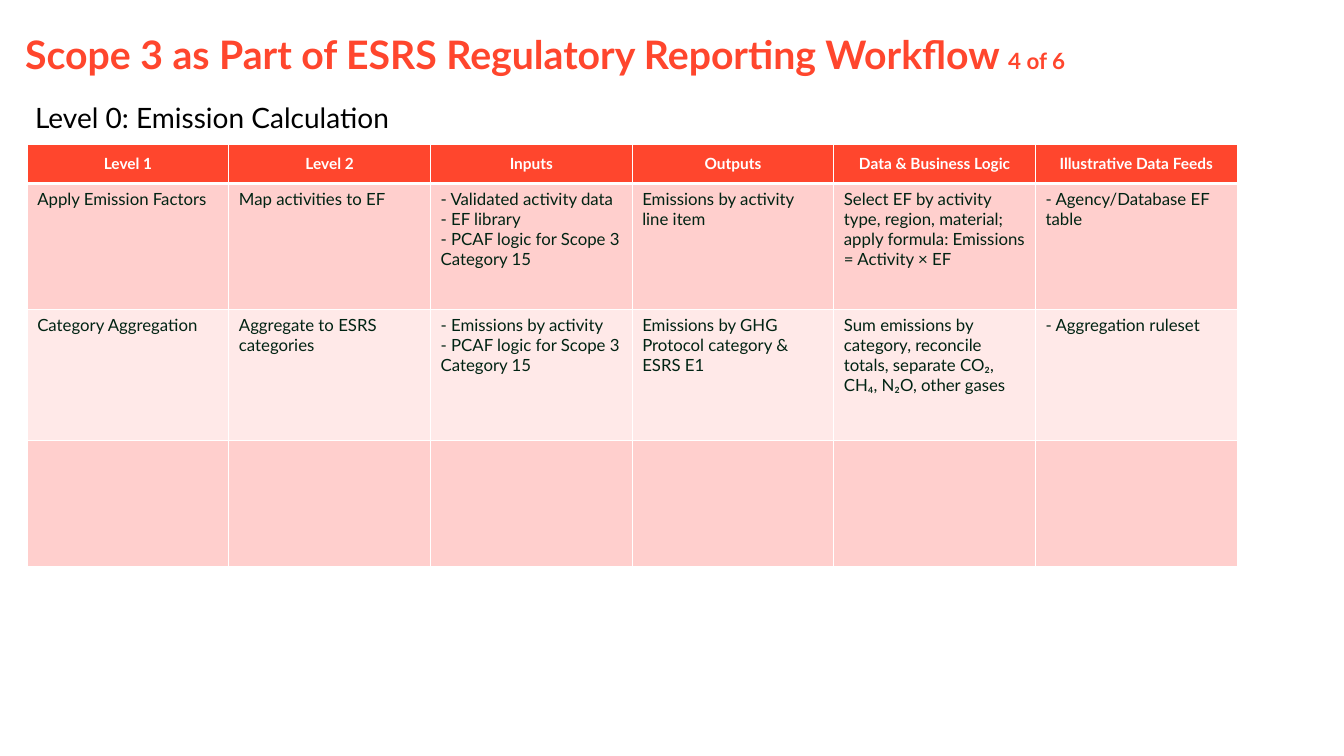
import pptx
import pptx.util
import pptx.dml.color
import pptx.enum.text
import pptx.oxml
import pptx.oxml.ns
from pptx.util import Inches

# Content
TITLE = "Scope 3 as Part of ESRS Regulatory Reporting Workflow "
PAGE = "4 of 6"
SUBTITLE = "Level 0: Emission Calculation"
HEADERS = ["Level 1", "Level 2", "Inputs", "Outputs",
           "Data & Business Logic", "Illustrative Data Feeds"]
ROWS = [
    ["Apply Emission Factors",
     "Map activities to EF",
     "- Validated activity data\n- EF library\n- PCAF logic for Scope 3 Category 15",
     "Emissions by activity line item",
     "Select EF by activity type, region, material; apply formula: Emissions = Activity × EF",
     "- Agency/Database EF table"],
    ["Category Aggregation",
     "Aggregate to ESRS categories",
     "- Emissions by activity\n- PCAF logic for Scope 3 Category 15",
     "Emissions by GHG Protocol category & ESRS E1",
     "Sum emissions by category, reconcile totals, separate CO₂, CH₄, N₂O, other gases",
     "- Aggregation ruleset"],
    [""] * len(HEADERS),
]
COL_WIDTH = 2
ROW_HEIGHTS = [0.39, 1.25, 1.3, 1.25]

THEME = {
    "font": "Lato",
    "accent": "FF462D", "white": "FFFFFF", "black": "000000", "body": "002313",
    "bands": ["FFCFCD", "FFE9E8"],
    "title_pt": 28, "page_pt": 16, "subtitle_pt": 20, "header_pt": 11, "body_pt": 12,
}

ALIGN = pptx.enum.text.PP_ALIGN
ANCHOR = pptx.enum.text.MSO_ANCHOR


def rgb(code):
    return pptx.dml.color.RGBColor.from_string(code)


def add_run(p, text, size, color, bold=False, align=ALIGN.LEFT):
    """Append formatted text to a paragraph."""
    p.alignment = align
    r = p.add_run()
    r.text = text
    r.font.name = THEME["font"]
    r.font.size = pptx.util.Pt(size)
    r.font.bold = bold
    r.font.color.rgb = rgb(color)


def set_borders(cell, bottom):
    """Draw white cell borders; they come before the fill in the cell properties."""
    tcPr = cell._tc.get_or_add_tcPr()
    sides = [("lnL", 1), ("lnR", 1), ("lnT", 1), ("lnB", bottom)]
    for i, (side, width) in enumerate(sides):
        tcPr.insert(i, pptx.oxml.parse_xml(
            f'<a:{side} {pptx.oxml.ns.nsdecls("a")} w="{pptx.util.Pt(width)}">'
            f'<a:solidFill><a:srgbClr val="{THEME["white"]}"/></a:solidFill></a:{side}>'))


def fill_cell(cell, text, fill, bottom=1, anchor=ANCHOR.TOP, **fmt):
    cell.fill.solid()
    cell.fill.fore_color.rgb = rgb(fill)
    cell.vertical_anchor = anchor
    set_borders(cell, bottom)
    tf = cell.text_frame
    for i, line in enumerate(text.split("\n") if text else []):
        p = tf.add_paragraph() if i else tf.paragraphs[0]
        add_run(p, line, **fmt)


prs = pptx.Presentation()
prs.slide_width, prs.slide_height = Inches(13.33), Inches(7.5)
s = prs.slides.add_slide(prs.slide_layouts[5])

# Title
sp = s.shapes.title
sp.left, sp.top, sp.width, sp.height = map(Inches, (0.25, 0.36, 12.83, 0.4))
tf = sp.text_frame
tf.margin_left = tf.margin_top = tf.margin_right = tf.margin_bottom = 0
tf.vertical_anchor = ANCHOR.MIDDLE
tf.auto_size = pptx.enum.text.MSO_AUTO_SIZE.NONE
p = tf.paragraphs[0]
p.line_spacing = 0.9
add_run(p, TITLE, THEME["title_pt"], THEME["accent"], bold=True)
add_run(p, PAGE, THEME["page_pt"], THEME["accent"], bold=True)

# Subtitle
sp = s.shapes.add_textbox(Inches(0.25), Inches(0.95), Inches(6.67), Inches(0.44))
tf = sp.text_frame
tf.word_wrap = True
add_run(tf.paragraphs[0], SUBTITLE, THEME["subtitle_pt"], THEME["black"])

# Table
frame = s.shapes.add_table(len(ROW_HEIGHTS), len(HEADERS), Inches(0.27), Inches(1.43),
                           Inches(COL_WIDTH * len(HEADERS)), Inches(sum(ROW_HEIGHTS)))
table = frame.table
for column in table.columns:
    column.width = Inches(COL_WIDTH)
for row, height in zip(table.rows, ROW_HEIGHTS):
    row.height = Inches(height)

for c, text in enumerate(HEADERS):
    fill_cell(table.cell(0, c), text, THEME["accent"], bottom=3, anchor=ANCHOR.MIDDLE,
              size=THEME["header_pt"], color=THEME["white"], bold=True, align=ALIGN.CENTER)
for r, texts in enumerate(ROWS):
    band = THEME["bands"][r % 2]
    for c, text in enumerate(texts):
        fill_cell(table.cell(r + 1, c), text, band,
                  size=THEME["body_pt"], color=THEME["body"])

prs.save("out.pptx")
